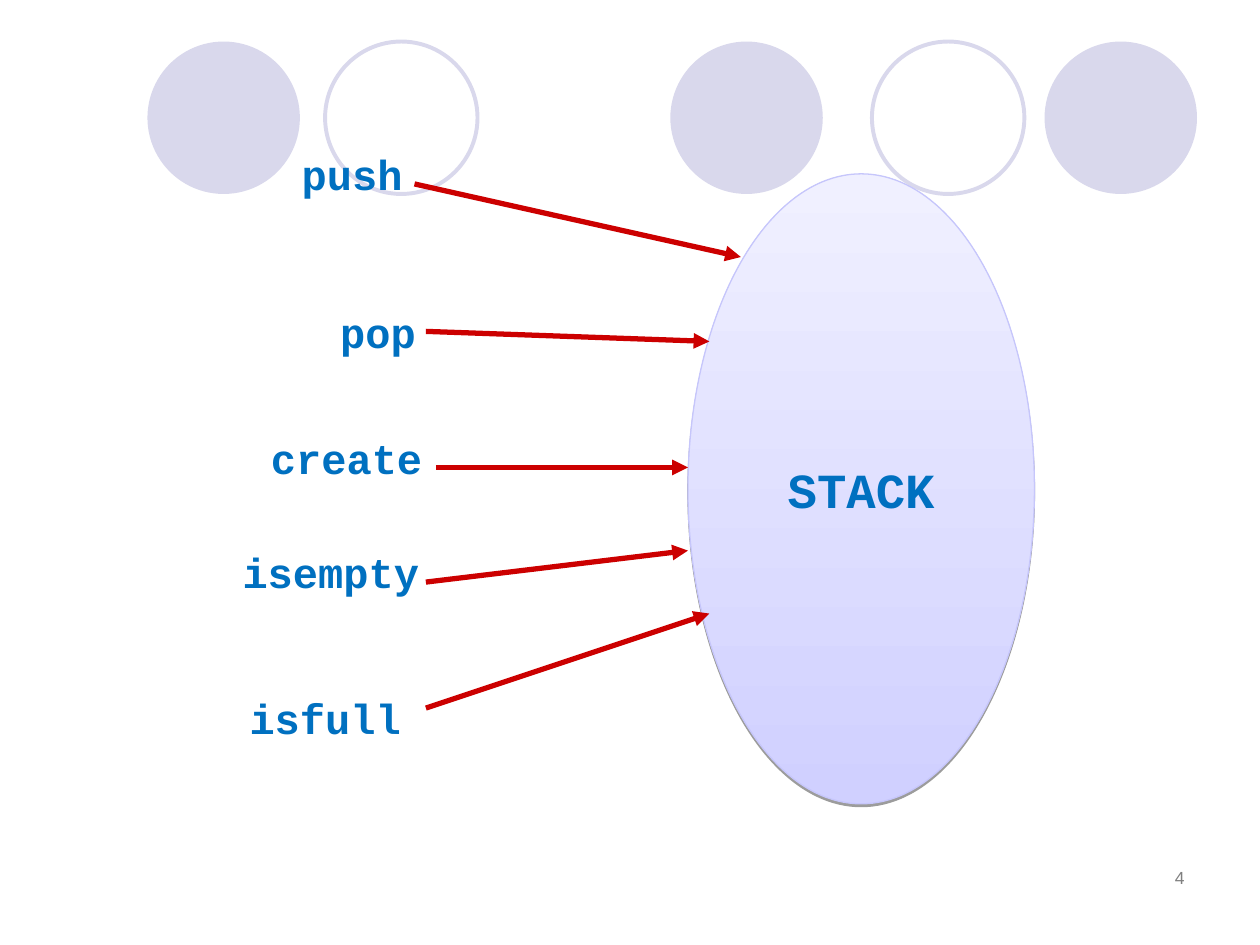
from lxml.etree import SubElement
from pptx import Presentation
from pptx.dml.color import RGBColor
from pptx.enum.shapes import MSO_CONNECTOR, MSO_SHAPE
from pptx.enum.text import MSO_ANCHOR, PP_ALIGN
from pptx.oxml.ns import qn
from pptx.util import Inches, Pt

LAVENDER = RGBColor(0xD9, 0xD8, 0xEC)
STACK_BOTTOM = RGBColor(0xD0, 0xD0, 0xFF)
STACK_TOP = RGBColor(0xF0, 0xF0, 0xFF)
STACK_EDGE = RGBColor(0xC6, 0xC6, 0xFB)
BLUE = RGBColor(0x00, 0x70, 0xC0)
RED = RGBColor(0xCC, 0x00, 0x00)
GRAY = RGBColor(0x7F, 0x7F, 0x7F)

CODE_FONT = {"name": "Courier New", "size": Pt(24), "bold": True}


def write(frame, text, align, color, font_format):
    paragraph = frame.paragraphs[0]
    paragraph.alignment = align
    run = paragraph.add_run()
    run.text = text
    run.font.color.rgb = color
    for attribute, value in font_format.items():
        setattr(run.font, attribute, value)
    return paragraph


def add_ellipse(left, top, width, height):
    ellipse = slide.shapes.add_shape(
        MSO_SHAPE.OVAL, Inches(left), Inches(top), Inches(width), Inches(height))
    ellipse.shadow.inherit = False
    return ellipse


prs = Presentation()
prs.slide_width, prs.slide_height = Inches(10), Inches(7.5)
slide = prs.slides.add_slide(prs.slide_layouts[6])

# Decorative row of circles, filled and outlined
for left, filled in [(5.32, True), (8.29, True), (1.17, True),
                     (6.92, False), (2.58, False)]:
    circle = add_ellipse(left, 0.33, 1.21, 1.21)
    if filled:
        circle.fill.solid()
        circle.fill.fore_color.rgb = LAVENDER
        circle.line.fill.background()
    else:
        circle.fill.background()
        circle.line.color.rgb = LAVENDER
        circle.line.width = Pt(2.25)

# Slide number
number = slide.shapes.add_textbox(Inches(7.17), Inches(6.83), Inches(2.33), Inches(0.5))
number.text_frame.word_wrap = True
write(number.text_frame, "4", PP_ALIGN.RIGHT, GRAY, {"name": "Arial", "size": Pt(10)})

# Stack with gradient and a thin shadow below
stack = add_ellipse(5.46, 1.38, 2.75, 5)
stack.fill.gradient()
stack.fill.gradient_angle = 90
for stop, color in zip(stack.fill.gradient_stops, (STACK_BOTTOM, STACK_TOP)):
    stop.color.rgb = color
for stop, position in zip(stack.fill.gradient_stops, (0, 1)):
    stop.position = position
stack.line.color.rgb = STACK_EDGE
stack.line.width = Pt(0.75)
effects = stack._element.spPr.find(qn("a:effectLst"))
shadow = SubElement(effects, qn("a:outerShdw"), dist=str(Pt(1.6)),
                    dir="5400000", rotWithShape="0")
shadow_color = SubElement(shadow, qn("a:srgbClr"), val="000000")
SubElement(shadow_color, qn("a:alpha"), val="38000")
stack.text_frame.word_wrap = False
stack.text_frame.vertical_anchor = MSO_ANCHOR.MIDDLE
write(stack.text_frame, "STACK", PP_ALIGN.CENTER, BLUE, {**CODE_FONT, "size": Pt(28)})

# Operations: label, its left, top and width, then arrow start and end
operations = [
    ("push", 2.13, 1.13, 1.33, (3.29, 1.46), (5.88, 2.04)),
    ("pop", 2.21, 2.38, 1.58, (3.38, 2.63), (5.63, 2.71)),
    ("create", 2.04, 3.38, 1.42, (3.46, 3.71), (5.46, 3.71)),
    ("isempty", 1.79, 4.29, 1.67, (3.38, 4.62), (5.46, 4.37)),
    ("isfull", 1.79, 5.45, 1.58, (3.38, 5.62), (5.63, 4.87)),
]
for operation, left, top, width, start, end in operations:
    arrow = slide.shapes.add_connector(
        MSO_CONNECTOR.STRAIGHT, *(Inches(value) for value in start + end))
    arrow.line.color.rgb = RED
    arrow.line.width = Pt(3)
    SubElement(arrow.line._get_or_add_ln(), qn("a:tailEnd"), type="triangle")
    SubElement(arrow._element.spPr, qn("a:effectLst"))

    label = slide.shapes.add_textbox(Inches(left), Inches(top), Inches(width), Inches(0.5))
    label.text_frame.word_wrap = True
    paragraph = write(label.text_frame, operation, PP_ALIGN.CENTER, BLUE, CODE_FONT)
    paragraph.space_before = Pt(15)

prs.save("out.pptx")
